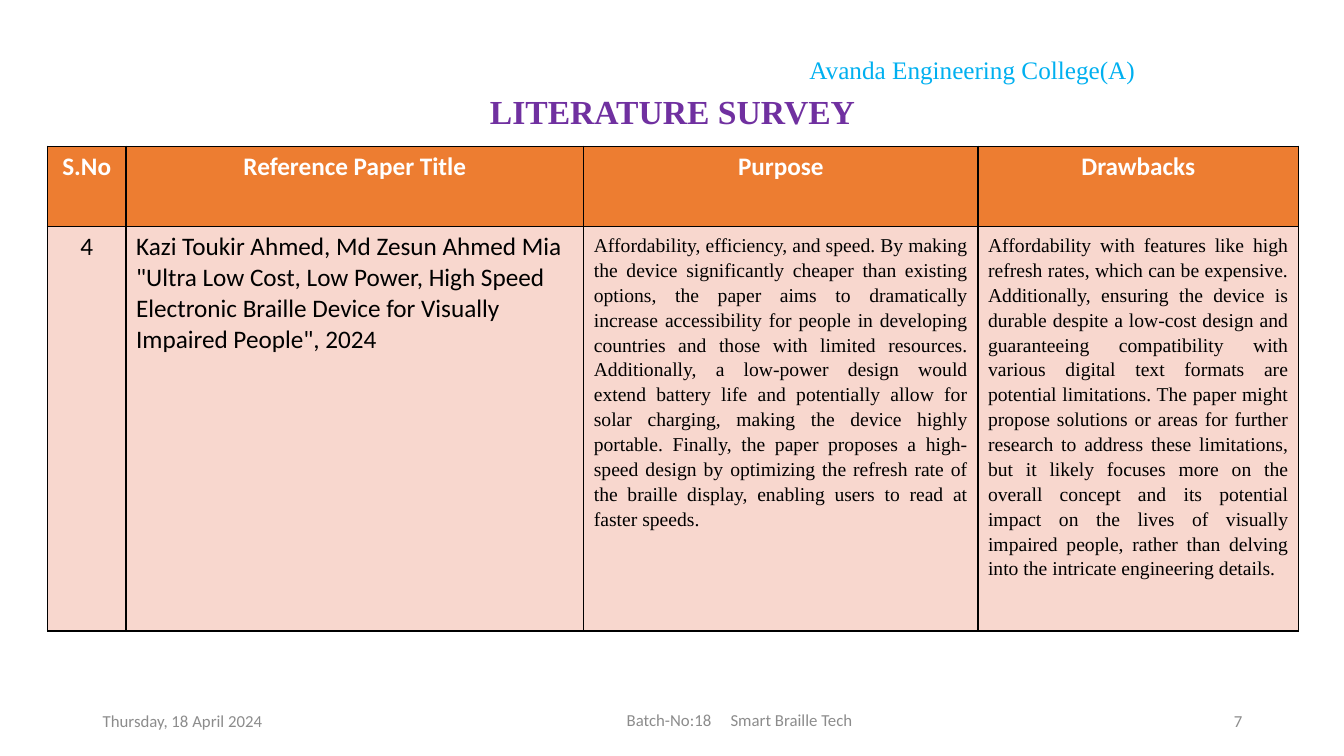
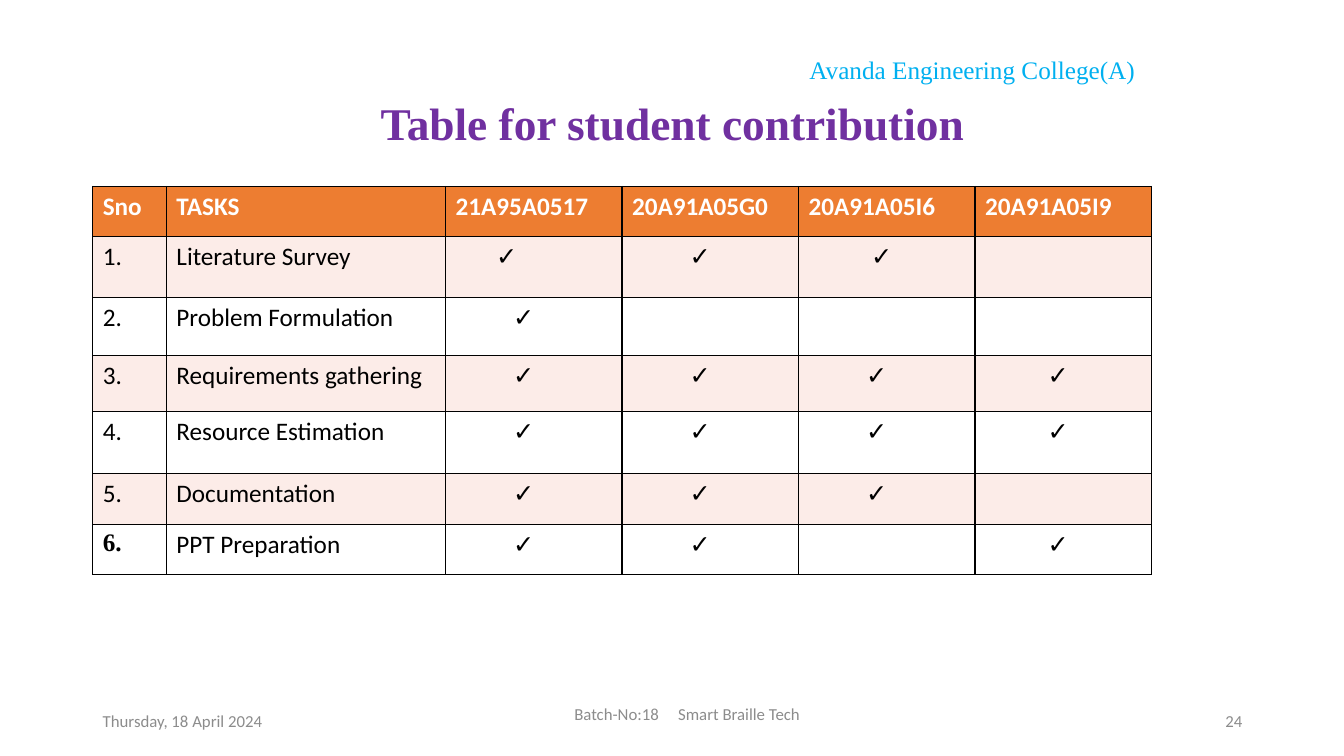
import dataclasses

import pptx
import pptx.dml.color
import pptx.enum.text
import pptx.oxml
import pptx.oxml.ns
import pptx.util
from pptx.util import Inches

ALIGN = pptx.enum.text.PP_ALIGN
ANCHOR = pptx.enum.text.MSO_ANCHOR


@dataclasses.dataclass(frozen=True)
class Theme:
    serif: str = "Times New Roman"
    sans: str = "Calibri"
    college: str = "00B0F0"
    title: str = "7030A0"
    header: str = "ED7D31"
    header_text: str = "FFFFFF"
    text: str = "000000"
    border: str = "000000"
    footer: str = "8C8C8C"
    survey_row: str = "F8D7CE"
    task_rows: tuple = ("FCECE8", "FFFFFF")
    college_size: float = 18
    survey_title_size: float = 24
    contribution_title_size: float = 32.4
    table_size: float = 18
    detail_size: float = 14
    footer_size: float = 12
    footer_gap: float = 10.9


THEME = Theme()


def write(frame, text, font=THEME.sans, size=THEME.table_size, color=THEME.text,
          bold=False, align=ALIGN.LEFT, line_spacing=None, space_after=None,
          indent=0):
    for index, line in enumerate(text.split("\n")):
        paragraph = frame.paragraphs[0] if index == 0 else frame.add_paragraph()
        paragraph.alignment = align
        if line_spacing:
            paragraph.line_spacing = line_spacing
        if space_after:
            paragraph.space_after = pptx.util.Pt(space_after)
        if indent:
            paragraph._p.get_or_add_pPr().set("marL", str(Inches(indent)))
        for piece in filter(None, line.partition("\t")):
            run = paragraph.add_run()
            run.text = " " if piece == "\t" else piece
            run.font.name = font
            run.font.size = pptx.util.Pt(size)
            run.font.bold = bold
            run.font.color.rgb = pptx.dml.color.RGBColor.from_string(color)
            if piece == "\t":
                spacing = round(THEME.footer_gap * 100)
                run._r.get_or_add_rPr().set("spc", str(spacing))


def add_text(slide, box, text, anchor=ANCHOR.MIDDLE, **text_format):
    shape = slide.shapes.add_textbox(*map(Inches, box))
    shape.text_frame.word_wrap = True
    shape.text_frame.vertical_anchor = anchor
    write(shape.text_frame, text, **text_format)


def add_title(slide, box, text, size):
    add_text(slide, box, text, font=THEME.serif, size=size, color=THEME.title,
             bold=True, align=ALIGN.CENTER, line_spacing=0.9)


def add_footer_text(slide, box, text, align=ALIGN.LEFT):
    add_text(slide, box, text, size=THEME.footer_size, color=THEME.footer,
             align=align)


def add_slide(presentation, number, batch_left, batch_top):
    slide = presentation.slides.add_slide(presentation.slide_layouts[6])
    add_text(slide, (7.93, 0.49, 4.2, 0.4), "Avanda Engineering College(A)",
             anchor=ANCHOR.TOP, font=THEME.serif, size=THEME.college_size,
             color=THEME.college)
    add_footer_text(slide, (0.92, 6.95, 3, 0.4), "Thursday, 18 April 2024")
    add_footer_text(slide, (9.42, 6.95, 3, 0.4), str(number), ALIGN.RIGHT)
    add_footer_text(slide, (batch_left, batch_top, 8.25, 0.4),
                    "Batch-No:18\tSmart Braille Tech", ALIGN.CENTER)
    return slide


def style_cell(cell, fill):
    cell.fill.solid()
    cell.fill.fore_color.rgb = pptx.dml.color.RGBColor.from_string(fill)
    properties = cell._tc.get_or_add_tcPr()
    for index, side in enumerate(("lnL", "lnR", "lnT", "lnB")):
        line = pptx.oxml.parse_xml(
            f'<a:{side} {pptx.oxml.ns.nsdecls("a")} w="{pptx.util.Pt(1)}">'
            f'<a:solidFill><a:srgbClr val="{THEME.border}"/></a:solidFill>'
            f'</a:{side}>')
        properties.insert(index, line)


def add_table(slide, left, top, widths, heights, headings, row_fills, align):
    shape = slide.shapes.add_table(
        len(heights), len(widths), Inches(left), Inches(top),
        Inches(sum(widths)), Inches(sum(heights)))
    table = shape.table
    table.first_row = False
    table.horz_banding = False
    for column, width in zip(table.columns, widths):
        column.width = Inches(width)
    for index, (row, height) in enumerate(zip(table.rows, heights)):
        row.height = Inches(height)
        fill = row_fills[(index - 1) % len(row_fills)] if index else THEME.header
        for cell in row.cells:
            style_cell(cell, fill)
    for cell, heading in zip(table.rows[0].cells, headings):
        write(cell.text_frame, heading, color=THEME.header_text, bold=True,
              align=align)
    return table


def add_survey_slide(presentation):
    slide = add_slide(presentation, 7, 3.21, 6.94)
    add_title(slide, (0.92, 0.4, 11.5, 1.45), "LITERATURE SURVEY",
              THEME.survey_title_size)
    headings = ("S.No", "Reference Paper Title", "Purpose", "Drawbacks")
    table = add_table(slide, 0.47, 1.45, (0.78, 4.54, 3.91, 3.18), (0.8, 4.01),
                      headings, (THEME.survey_row,), ALIGN.CENTER)
    detail = dict(font=THEME.serif, size=THEME.detail_size, align=ALIGN.JUSTIFY,
                  line_spacing=1.15, space_after=10)
    entries = (
        ("4", dict(align=ALIGN.CENTER)),
        ("Kazi Toukir Ahmed, Md Zesun Ahmed Mia\n"
         '"Ultra Low Cost, Low Power, High Speed Electronic Braille Device for '
         'Visually Impaired People", 2024', {}),
        ("Affordability, efficiency, and speed. By making the device "
         "significantly cheaper than existing options, the paper aims to "
         "dramatically increase accessibility for people in developing "
         "countries and those with limited resources. Additionally, a "
         "low-power design would extend battery life and potentially allow "
         "for solar charging, making the device highly portable. Finally, the "
         "paper proposes a high-speed design by optimizing the refresh rate "
         "of the braille display, enabling users to read at faster speeds.",
         detail),
        ("Affordability with features like high refresh rates, which can be "
         "expensive. Additionally, ensuring the device is durable despite a "
         "low-cost design and guaranteeing compatibility with various digital "
         "text formats are potential limitations. The paper might propose "
         "solutions or areas for further research to address these "
         "limitations, but it likely focuses more on the overall concept and "
         "its potential impact on the lives of visually impaired people, "
         "rather than delving into the intricate engineering details.",
         detail),
    )
    for cell, (text, text_format) in zip(table.rows[1].cells, entries):
        write(cell.text_frame, text, **text_format)


def add_contribution_slide(presentation):
    slide = add_slide(presentation, 24, 2.69, 6.88)
    add_title(slide, (0.92, 0.92, 11.5, 0.65), "Table for student contribution",
              THEME.contribution_title_size)
    students = ("21A95A0517", "20A91A05G0", "20A91A05I6", "20A91A05I9")
    usual = (0.57, 0.57, 0.57, 0.62)
    tasks = (
        ("Literature Survey", (0, 1, 2), (0.4, 0.57, 0.62)),
        ("Problem Formulation", (0,), usual),
        ("Requirements gathering", (0, 1, 2, 3), usual),
        ("Resource Estimation", (0, 1, 2, 3), usual),
        ("Documentation", (0, 1, 2), usual),
        ("PPT Preparation", (0, 1, 3), usual),
    )
    table = add_table(slide, 0.92, 1.85, (0.73, 2.77) + (1.75,) * len(students),
                      (0.5, 0.6, 0.58, 0.55, 0.62, 0.5, 0.5),
                      ("Sno", "TASKS") + students, THEME.task_rows, ALIGN.LEFT)
    for number, (task, contributors, indents) in enumerate(tasks, start=1):
        last = number == len(tasks)
        write(table.cell(number, 0).text_frame, f"{number}.", bold=last,
              font=THEME.serif if last else THEME.sans)
        write(table.cell(number, 1).text_frame, task)
        for student in contributors:
            write(table.cell(number, student + 2).text_frame, "✓",
                  indent=indents[student])


def main():
    presentation = pptx.Presentation()
    presentation.slide_width = Inches(13.33)
    presentation.slide_height = Inches(7.5)
    add_survey_slide(presentation)
    add_contribution_slide(presentation)
    presentation.save("out.pptx")


if __name__ == "__main__":
    main()
